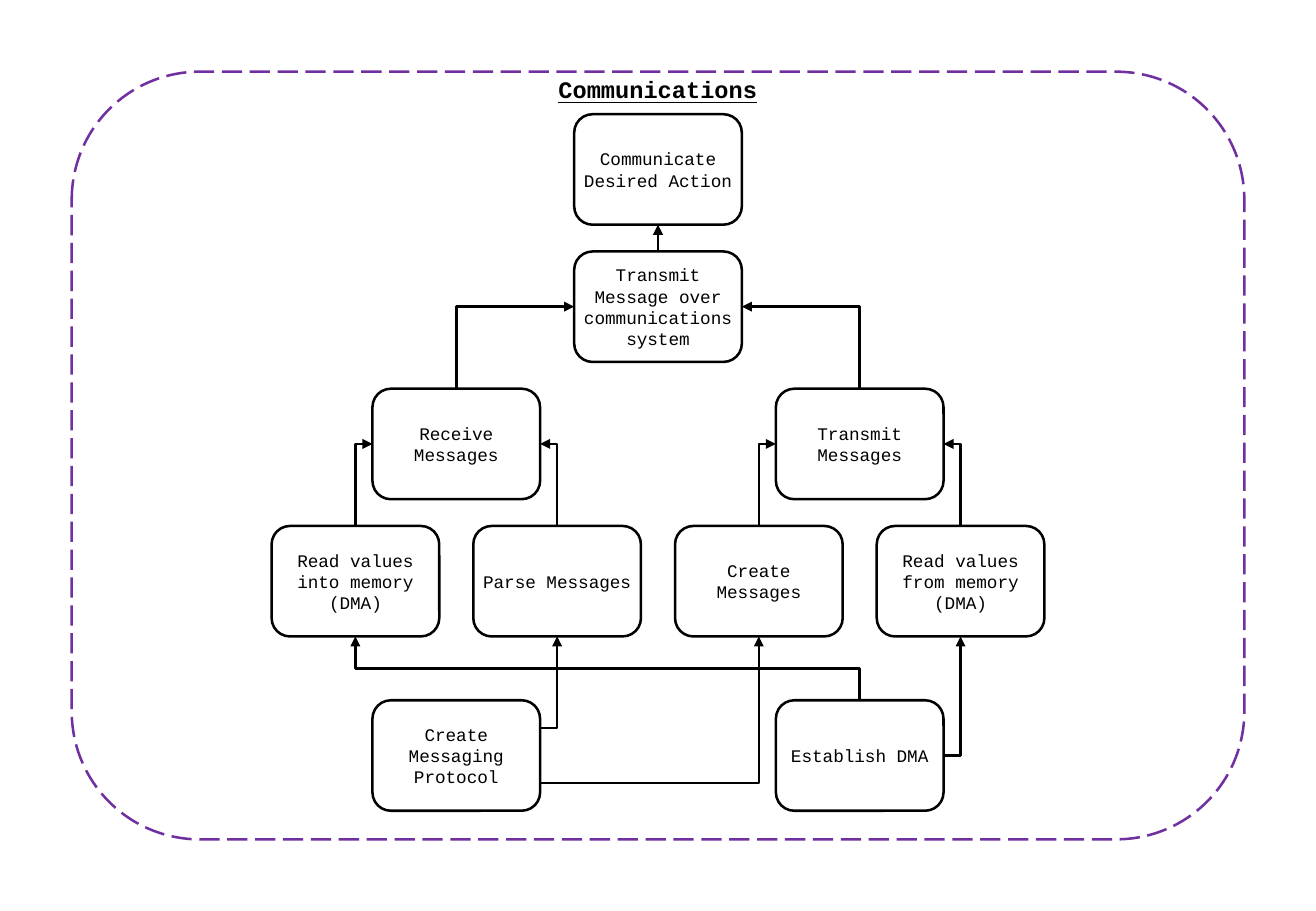
from pptx import Presentation
from pptx.dml.color import RGBColor
from pptx.enum.dml import MSO_LINE
from pptx.enum.shapes import MSO_CONNECTOR, MSO_SHAPE
from pptx.enum.text import MSO_ANCHOR, PP_ALIGN
from pptx.oxml.ns import qn
from pptx.util import Inches, Pt
from lxml.etree import SubElement

COLORS = {"ink": "000000", "paper": "FFFFFF", "frame": "7030A0"}
FONT = "Courier New"

# Grid in inches: columns count from the centre line, rows from the top
WIDTH, HEIGHT, MARGIN = 10.83, 7.5, 0.59
CENTER, COL = WIDTH / 2, 0.83
TOP, ROW = 0.94, 1.13
BOX_W, BOX_H = 1.38, 0.91

# Name: (column, row, text)
TASKS = {
    "transmit_system": (0, 1, "Transmit Message over communications system"),
    "action": (0, 0, "Communicate Desired Action"),
    "receive": (-2, 2, "Receive Messages"),
    "transmit": (2, 2, "Transmit Messages"),
    "parse": (-1, 3, "Parse Messages"),
    "read_into": (-3, 3, "Read values into memory (DMA)"),
    "read_from": (3, 3, "Read values from memory (DMA)"),
    "create": (1, 3, "Create Messages"),
    "dma": (2, 4.27, "Establish DMA"),
    "protocol": (-2, 4.27, "Create Messaging Protocol"),
}

# Sides of a box as shares of its width and height
UP, DOWN, LEFT, RIGHT = (0.5, 0), (0.5, 1), (0, 0.5), (1, 0.5)
RIGHT_HIGH, RIGHT_LOW = (1, 0.25), (1, 0.75)

# (from, side, to, side, preset shape)
ARROWS = [
    ("transmit_system", UP, "action", DOWN, "line"),
    ("receive", UP, "transmit_system", LEFT, "bentConnector2"),
    ("transmit", UP, "transmit_system", RIGHT, "bentConnector2"),
    ("read_into", UP, "receive", LEFT, "bentConnector2"),
    ("parse", UP, "receive", RIGHT, "bentConnector2"),
    ("create", UP, "transmit", LEFT, "bentConnector2"),
    ("read_from", UP, "transmit", RIGHT, "bentConnector2"),
    ("protocol", RIGHT_HIGH, "parse", DOWN, "bentConnector2"),
    ("protocol", RIGHT_LOW, "create", DOWN, "bentConnector2"),
    ("dma", RIGHT, "read_from", DOWN, "bentConnector2"),
    ("dma", UP, "read_into", DOWN, "bentConnector3"),
]


def color(name):
    return RGBColor.from_string(COLORS[name])


def add_text(sp, text, size=10.5, bold=False, underline=False):
    tf = sp.text_frame
    tf.word_wrap = True
    tf.vertical_anchor = MSO_ANCHOR.MIDDLE
    tf.margin_left = tf.margin_right = tf.margin_top = tf.margin_bottom = 0
    p = tf.paragraphs[0]
    p.alignment = PP_ALIGN.CENTER
    r = p.add_run()
    r.text = text
    r.font.name, r.font.size = FONT, Pt(size)
    r.font.bold, r.font.underline = bold, underline
    r.font.color.rgb = color("ink")


def add_box(s, x, y, w, h, fill=None, line=None, dash=None):
    sp = s.shapes.add_shape(MSO_SHAPE.FLOWCHART_ALTERNATE_PROCESS,
                            Inches(x), Inches(y), Inches(w), Inches(h))
    sp.shadow.inherit = False
    if fill:
        sp.fill.solid()
        sp.fill.fore_color.rgb = color(fill)
    else:
        sp.fill.background()
    if line:
        sp.line.color.rgb = color(line)
        sp.line.width = Pt(1.5)
        sp.line.dash_style = dash
    else:
        sp.line.fill.background()
    return sp


def corner(task):
    col, row, _ = TASKS[task]
    return CENTER + col * COL - BOX_W / 2, TOP + row * ROW


def port(task, side):
    x, y = corner(task)
    return x + side[0] * BOX_W, y + side[1] * BOX_H


def add_arrow(s, start, end, preset, upward):
    (x1, y1), (x2, y2) = start, end
    bent = preset != "line"
    turned = bent and upward
    if turned:
        # Lay the route on its side about its centre; the rotation stands it up
        cx, cy, dx, rise = (x1 + x2) / 2, (y1 + y2) / 2, x2 - x1, y1 - y2
        x1, x2 = cx - rise / 2, cx + rise / 2
        y1, y2 = cy - dx / 2, cy + dx / 2
    kind = MSO_CONNECTOR.ELBOW if bent else MSO_CONNECTOR.STRAIGHT
    c = s.shapes.add_connector(kind, Inches(x1), Inches(y1), Inches(x2), Inches(y2))
    c.line.color.rgb = color("ink")
    c.line.width = Pt(1.5)
    spPr = c._element.spPr
    spPr.find(qn("a:prstGeom")).set("prst", preset)
    if turned:
        spPr.find(qn("a:xfrm")).set("rot", str(270 * 60000))
    SubElement(spPr.find(qn("a:ln")), qn("a:tailEnd"), type="triangle")
    SubElement(spPr, qn("a:effectLst"))


def main():
    prs = Presentation()
    prs.slide_width, prs.slide_height = Inches(WIDTH), Inches(HEIGHT)
    s = prs.slides.add_slide(prs.slide_layouts[6])

    # Frame and title
    add_box(s, MARGIN, MARGIN, WIDTH - 2 * MARGIN, HEIGHT - 2 * MARGIN,
            line="frame", dash=MSO_LINE.LONG_DASH)
    title = add_box(s, CENTER - 1.5, MARGIN, 3, 0.29)
    add_text(title, "Communications", size=14, bold=True, underline=True)

    # Tasks
    for task, (_, _, text) in TASKS.items():
        sp = add_box(s, *corner(task), BOX_W, BOX_H, fill="paper", line="ink")
        add_text(sp, text)

    # Arrows
    for source, out, target, into, preset in ARROWS:
        add_arrow(s, port(source, out), port(target, into), preset, out == UP)

    prs.save("out.pptx")


if __name__ == "__main__":
    main()
